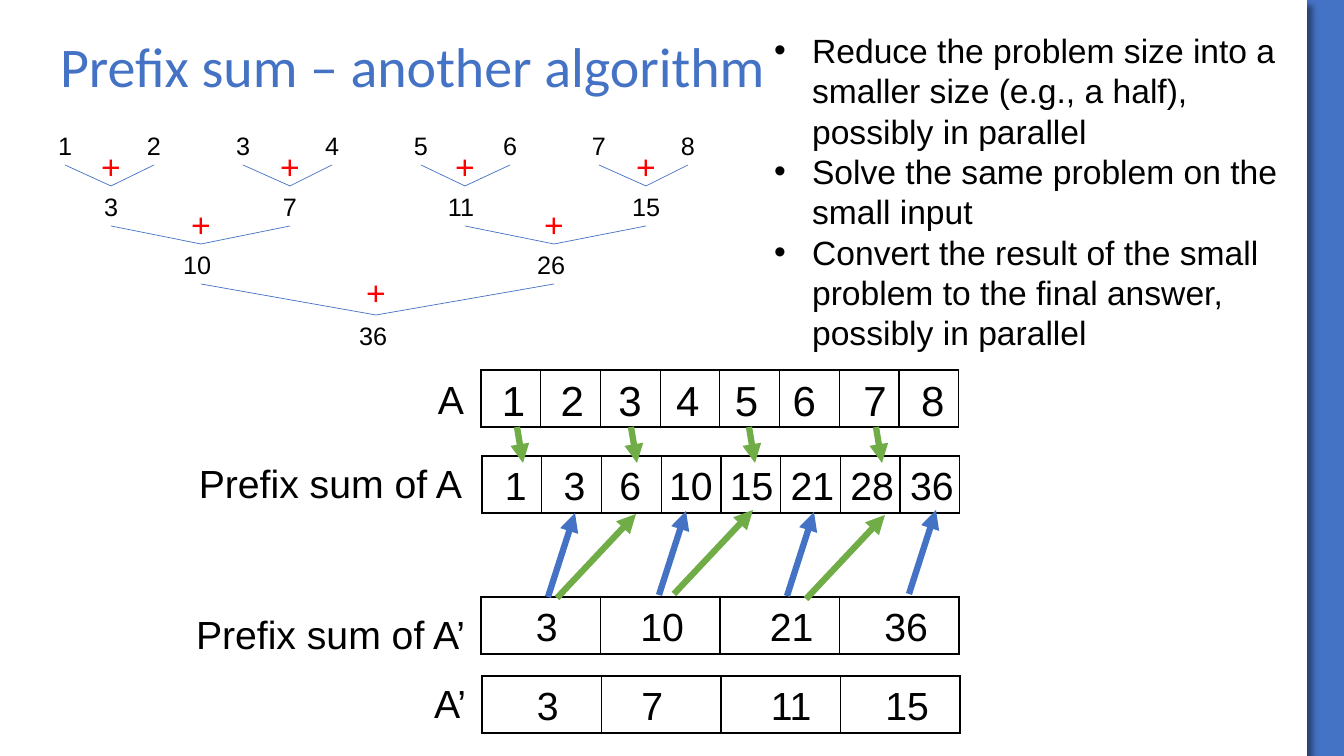
"""Build the slide that explains a reduce-and-expand prefix sum algorithm."""
from dataclasses import dataclass

from lxml import etree
from pptx import Presentation
from pptx import util as u
from pptx.dml.color import RGBColor
from pptx.enum import shapes, text
from pptx.oxml.ns import qn


@dataclass(frozen=True)
class Theme:
    blue: str = "4472C4"
    green: str = "70AD47"
    red: str = "FF0000"
    black: str = "000000"
    white: str = "FFFFFF"
    heading_font: str = "Calibri"
    body_font: str = "Arial"
    title: int = 40
    input_row: int = 30
    row: int = 28
    body: int = 24
    node: int = 18


THEME = Theme()
TITLE = "Prefix sum – another algorithm"
STEPS = [
    "Reduce the problem size into a smaller size (e.g., a half), possibly in parallel",
    "Solve the same problem on the small input",
    "Convert the result of the small problem to the final answer, possibly in parallel",
]
TREE = [
    {"top": 125, "nodes": [(n, 65 + 89 * (n - 1), 65 + 89 * (n - 1)) for n in range(1, 9)]},
    {"top": 186, "plus": 141, "nodes": [(3, 111, 111), (7, 290, 290), (11, 461, 465), (15, 646, 646)]},
    {"top": 244, "plus": 199, "nodes": [(10, 197, 201), (26, 551, 554)]},
    {"top": 315, "plus": 267, "nodes": [(36, 373, 376)]},
]
HALF_INDENTS = [55, 40, 50, 45]
ROWS = [
    {"label": "A", "label_at": (474, 370), "at": (481, 370), "size": THEME.input_row,
     "values": [1, 2, 3, 4, 5, 6, 7, 8], "indents": [21, 20, 18, 16, 15, 13, 24, 22]},
    {"label": "Prefix sum of A", "label_at": (472, 454), "at": (482, 456), "size": THEME.row,
     "values": [1, 3, 6, 10, 15, 21, 28, 36], "indents": [23, 22, 18, 8, 9, 10, 10, 10]},
    {"label": "Prefix sum of A’", "label_at": (475, 605), "at": (481, 597), "size": THEME.row,
     "values": [3, 10, 21, 36], "indents": HALF_INDENTS},
    {"label": "A’", "label_at": (476, 674), "at": (482, 676), "size": THEME.row,
     "values": [3, 7, 11, 15], "indents": HALF_INDENTS},
]
ARROWS = [
    (THEME.blue, (27, -84), [(548, 597), (659, 595), (787, 596), (909, 594)]),
    (THEME.green, (79, -84), [(557, 598), (674, 594), (806, 599)]),
    (THEME.green, (6, 36), [(517, 427), (631, 427), (749, 427), (876, 427)]),
]
ROW_WIDTH, ROW_HEIGHT = 478, 57
NODE_WIDTH, NODE_HEIGHT = 54, 40
PLUS_WIDTH, PLUS_HEIGHT = 40, 50
LABEL_WIDTH, LABEL_HEIGHT = 300, 57
DIGIT_WIDTH, BOX_MARGIN = 22, 10
BULLET_INDENT = 38
EMU_PER_PX = 914400 / 100.8


def px(length):
    return u.Emu(round(length * EMU_PER_PX))


def place(part, left, top, width, height):
    part.left, part.top, part.width, part.height = map(px, (left, top, width, height))


def write(frame, lines, size, color=THEME.black, font=THEME.body_font,
          align=text.PP_ALIGN.LEFT, spacing=1.0, bullet=None):
    for index, line in enumerate(lines):
        paragraph = frame.paragraphs[0] if index == 0 else frame.add_paragraph()
        if bullet:
            properties = paragraph._p.get_or_add_pPr()
            properties.set("marL", str(px(BULLET_INDENT)))
            properties.set("indent", str(-px(BULLET_INDENT)))
            etree.SubElement(properties, qn("a:buFont"), typeface=font)
            etree.SubElement(properties, qn("a:buChar"), char=bullet)
        paragraph.alignment = align
        paragraph.line_spacing = spacing
        paragraph.space_before = u.Pt(0)
        run = paragraph.add_run()
        run.text = str(line)
        run.font.size = u.Pt(size)
        run.font.name = font
        run.font.color.rgb = RGBColor.from_string(color)


def add_text(slide, content, left, top, width, height, **style):
    box = slide.shapes.add_textbox(*map(px, (left, top, width, height)))
    box.text_frame.word_wrap = False
    write(box.text_frame, [content], **style)


def add_line(slide, start, end, color, weight, arrow=False):
    line = slide.shapes.add_connector(shapes.MSO_CONNECTOR.STRAIGHT, *map(px, (*start, *end)))
    line.line.color.rgb = RGBColor.from_string(color)
    line.line.width = u.Pt(weight)
    properties = line._element.spPr
    if arrow:
        etree.SubElement(properties.find(qn("a:ln")), qn("a:tailEnd"), type="triangle")
    etree.SubElement(properties, qn("a:effectLst"))


def add_page(slide):
    slide.background.fill.solid()
    slide.background.fill.fore_color.rgb = RGBColor.from_string(THEME.blue)
    page = slide.shapes.add_shape(shapes.MSO_SHAPE.RECTANGLE, 0, 0, px(1307), px(756))
    page.fill.solid()
    page.fill.fore_color.rgb = RGBColor.from_string(THEME.white)
    page.line.fill.background()
    page.shadow.inherit = False
    effects = page._element.spPr.find(qn("a:effectLst"))
    shadow = etree.SubElement(effects, qn("a:outerShdw"), blurRad=str(u.Pt(4)),
                              dist=str(u.Pt(6)), dir="2700000", algn="tl", rotWithShape="0")
    tint = etree.SubElement(shadow, qn("a:srgbClr"), val=THEME.black)
    etree.SubElement(tint, qn("a:alpha"), val="40000")
    slide.shapes._spTree.insert(2, page._element)


def add_tree(slide):
    for depth, level in enumerate(TREE):
        for index, (value, center, join) in enumerate(level["nodes"]):
            add_text(slide, value, center - NODE_WIDTH / 2, level["top"], NODE_WIDTH, NODE_HEIGHT,
                     size=THEME.node, align=text.PP_ALIGN.CENTER)
            if depth == 0:
                continue
            children = TREE[depth - 1]
            for child in children["nodes"][2 * index:2 * index + 2]:
                add_line(slide, (child[2], children["top"] + NODE_HEIGHT),
                         (join, level["top"]), THEME.blue, 0.5)
            add_text(slide, "+", join - PLUS_WIDTH / 2, level["plus"], PLUS_WIDTH, PLUS_HEIGHT,
                     size=THEME.body, color=THEME.red, align=text.PP_ALIGN.CENTER)


def border(cell):
    for index, side in enumerate(("lnL", "lnR", "lnT", "lnB")):
        edge = etree.Element(qn(f"a:{side}"), w=str(u.Pt(1)))
        fill = etree.SubElement(edge, qn("a:solidFill"))
        etree.SubElement(fill, qn("a:srgbClr"), val=THEME.black)
        cell._tc.get_or_add_tcPr().insert(index, edge)


def add_row(slide, row):
    right, label_top = row["label_at"]
    add_text(slide, row["label"], right - LABEL_WIDTH, label_top, LABEL_WIDTH, LABEL_HEIGHT,
             size=THEME.row, align=text.PP_ALIGN.RIGHT)
    left, top = row["at"]
    count = len(row["values"])
    table = slide.shapes.add_table(1, count, *map(px, (left, top, ROW_WIDTH, ROW_HEIGHT))).table
    table.first_row = table.horz_banding = False
    for column, (value, indent) in enumerate(zip(row["values"], row["indents"])):
        cell = table.cell(0, column)
        cell.fill.background()
        border(cell)
        add_text(slide, value, left + column * ROW_WIDTH / count + indent - BOX_MARGIN, top,
                 2 * BOX_MARGIN + DIGIT_WIDTH * len(str(value)), ROW_HEIGHT, size=row["size"])


def main():
    deck = Presentation()
    deck.slide_width, deck.slide_height = px(1344), px(756)
    slide = deck.slides.add_slide(deck.slide_layouts[1])
    add_page(slide)
    heading, steps = slide.shapes.title, slide.placeholders[1]
    place(heading, 50, 30, 865, 79)
    place(steps, 764, 25, 529, 336)
    for part, anchor in ((heading, text.MSO_ANCHOR.MIDDLE), (steps, text.MSO_ANCHOR.TOP)):
        part.text_frame.auto_size = text.MSO_AUTO_SIZE.NONE
        part.text_frame.vertical_anchor = anchor
    write(heading.text_frame, [TITLE], size=THEME.title, color=THEME.blue,
          font=THEME.heading_font, spacing=0.9)
    write(steps.text_frame, STEPS, size=THEME.body, bullet="•")
    add_tree(slide)
    for row in ROWS:
        add_row(slide, row)
    for color, (across, down), starts in ARROWS:
        for x, y in starts:
            add_line(slide, (x, y), (x + across, y + down), color, 4.5, arrow=True)
    deck.save("out.pptx")


if __name__ == "__main__":
    main()
